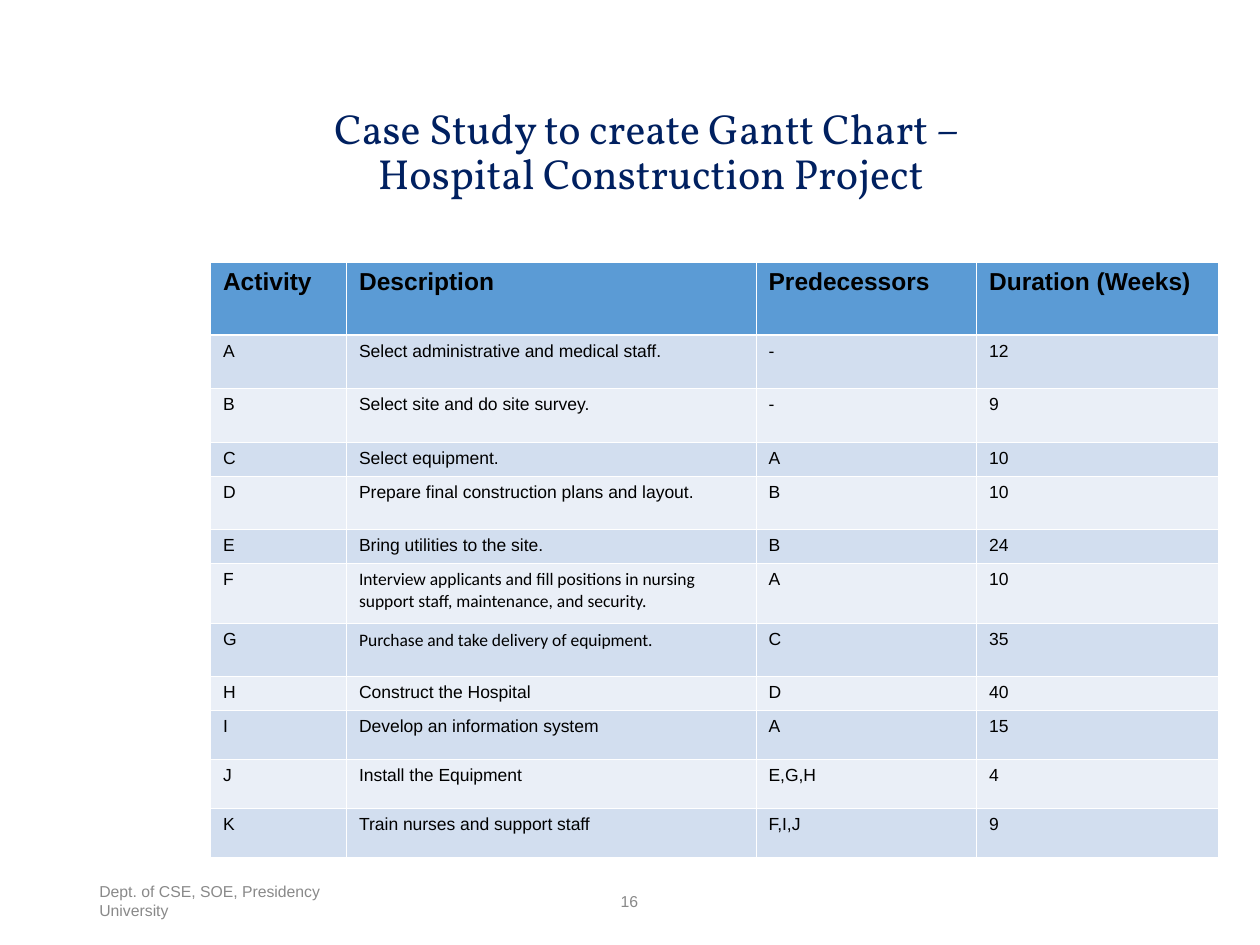
from dataclasses import dataclass

from lxml.etree import SubElement
from pptx import Presentation
from pptx.dml.color import RGBColor as RGB
from pptx.enum.text import MSO_ANCHOR as Anchor, MSO_AUTO_SIZE as AutoSize, PP_ALIGN as Align
from pptx.oxml.ns import qn
from pptx.util import Inches, Pt


@dataclass(frozen=True)
class Theme:
    title_font: str = "Vollkorn"
    body_font: str = "Arial"
    alt_font: str = "Calibri"
    title_color: str = "002060"
    text_color: str = "000000"
    footer_color: str = "898989"
    header_fill: str = "5B9BD5"
    odd_fill: str = "D2DEEF"
    even_fill: str = "EAEFF7"
    border: str = "FFFFFF"
    title_size: float = 24
    header_size: float = 14
    body_size: float = 10
    footer_size: float = 9
    thin: float = 0.45
    thick: float = 1.5


THEME = Theme()


@dataclass(frozen=True)
class Activity:
    name: str
    description: str
    predecessors: str
    weeks: int
    height: float
    font: str = THEME.body_font


HEADERS = ["Activity", "Description", "Predecessors", "Duration (Weeks)"]
COL_WIDTHS = [1.08, 3.25, 1.75, 1.92]
HEADER_HEIGHT = 0.58
ACTIVITIES = [
    Activity("A", "Select administrative and medical staff.", "-", 12, 0.42),
    Activity("B", "Select site and do site survey.", "-", 9, 0.43),
    Activity("C", "Select equipment.", "A", 10, 0.27),
    Activity("D", "Prepare final construction plans and layout.", "B", 10, 0.42),
    Activity("E", "Bring utilities to the site.", "B", 24, 0.27),
    Activity("F", "Interview applicants and fill positions in nursing support staff, "
             "maintenance, and security.", "A", 10, 0.48, THEME.alt_font),
    Activity("G", "Purchase and take delivery of equipment.", "C", 35, 0.42, THEME.alt_font),
    Activity("H", "Construct the Hospital", "D", 40, 0.27),
    Activity("I", "Develop an information system", "A", 15, 0.39),
    Activity("J", "Install the Equipment", "E,G,H", 4, 0.39),
    Activity("K", "Train nurses and support staff", "F,I,J", 9, 0.39),
]


def style(p, font: str, size: float, color: str, bold: bool = False) -> None:
    p.font.name = font
    p.font.size = Pt(size)
    p.font.bold = bold
    p.font.color.rgb = RGB.from_string(color)


def add_title(slide, text: str) -> None:
    sp = slide.shapes.title
    sp.left, sp.top, sp.width, sp.height = map(Inches, (2.42, 0.83, 5.49, 0.86))
    tf = sp.text_frame
    tf.text = text
    tf.word_wrap = True
    tf.auto_size = AutoSize.SHAPE_TO_FIT_TEXT
    tf.vertical_anchor = Anchor.TOP
    tf.margin_left = tf.margin_right = Inches(0.07)
    tf.margin_top = tf.margin_bottom = Inches(0.03)
    p = tf.paragraphs[0]
    p.alignment = Align.CENTER
    p.line_spacing = 0.9
    style(p, THEME.title_font, THEME.title_size, THEME.title_color)


def add_footer(slide, text: str, left: float, width: float, align: Align) -> None:
    sp = slide.shapes.add_textbox(Inches(left), Inches(6.95), Inches(width), Inches(0.4))
    tf = sp.text_frame
    tf.text = text
    tf.word_wrap = True
    tf.vertical_anchor = Anchor.MIDDLE
    p = tf.paragraphs[0]
    p.alignment = align
    style(p, THEME.body_font, THEME.footer_size, THEME.footer_color)


def set_borders(cell, top: float, bottom: float) -> None:
    """Border lines come before the fill, so this runs before the cell is filled."""
    tc_pr = cell._tc.get_or_add_tcPr()
    widths = {"a:lnL": THEME.thin, "a:lnR": THEME.thin, "a:lnT": top, "a:lnB": bottom}
    for tag, width in widths.items():
        ln = SubElement(tc_pr, qn(tag), w=str(Pt(width)))
        SubElement(SubElement(ln, qn("a:solidFill")), qn("a:srgbClr"), val=THEME.border)


def fill_cell(cell, text: str, row: int, font: str) -> None:
    header = row == 0
    set_borders(cell, THEME.thick if row == 1 else THEME.thin,
                THEME.thick if header else THEME.thin)
    fill = THEME.header_fill if header else THEME.odd_fill if row % 2 else THEME.even_fill
    cell.fill.solid()
    cell.fill.fore_color.rgb = RGB.from_string(fill)
    cell.text = text
    size = THEME.header_size if header else THEME.body_size
    style(cell.text_frame.paragraphs[0], font, size, THEME.text_color, header)


def add_activity_table(slide) -> None:
    heights = [HEADER_HEIGHT] + [a.height for a in ACTIVITIES]
    table = slide.shapes.add_table(
        len(heights), len(HEADERS), Inches(1.67), Inches(2.08),
        Inches(sum(COL_WIDTHS)), Inches(sum(heights))).table
    for col, width in zip(table.columns, COL_WIDTHS):
        col.width = Inches(width)
    for row, height in zip(table.rows, heights):
        row.height = Inches(height)

    # Header row
    for c, label in enumerate(HEADERS):
        fill_cell(table.cell(0, c), label, 0, THEME.body_font)
    # Activity rows
    for r, a in enumerate(ACTIVITIES, start=1):
        values = [a.name, a.description, a.predecessors, str(a.weeks)]
        for c, value in enumerate(values):
            fill_cell(table.cell(r, c), value, r, a.font if c == 1 else THEME.body_font)


def main() -> None:
    prs = Presentation()
    prs.slide_width, prs.slide_height = Inches(10), Inches(7.5)
    slide = prs.slides.add_slide(prs.slide_layouts[5])
    add_title(slide, "Case Study to create Gantt Chart – \vHospital Construction Project")
    # Footer and page number
    add_footer(slide, "Dept. of CSE, SOE, Presidency University", 0.69, 2.25, Align.LEFT)
    add_footer(slide, "16", 3.31, 3.37, Align.CENTER)
    add_activity_table(slide)
    prs.save("out.pptx")


if __name__ == "__main__":
    main()
